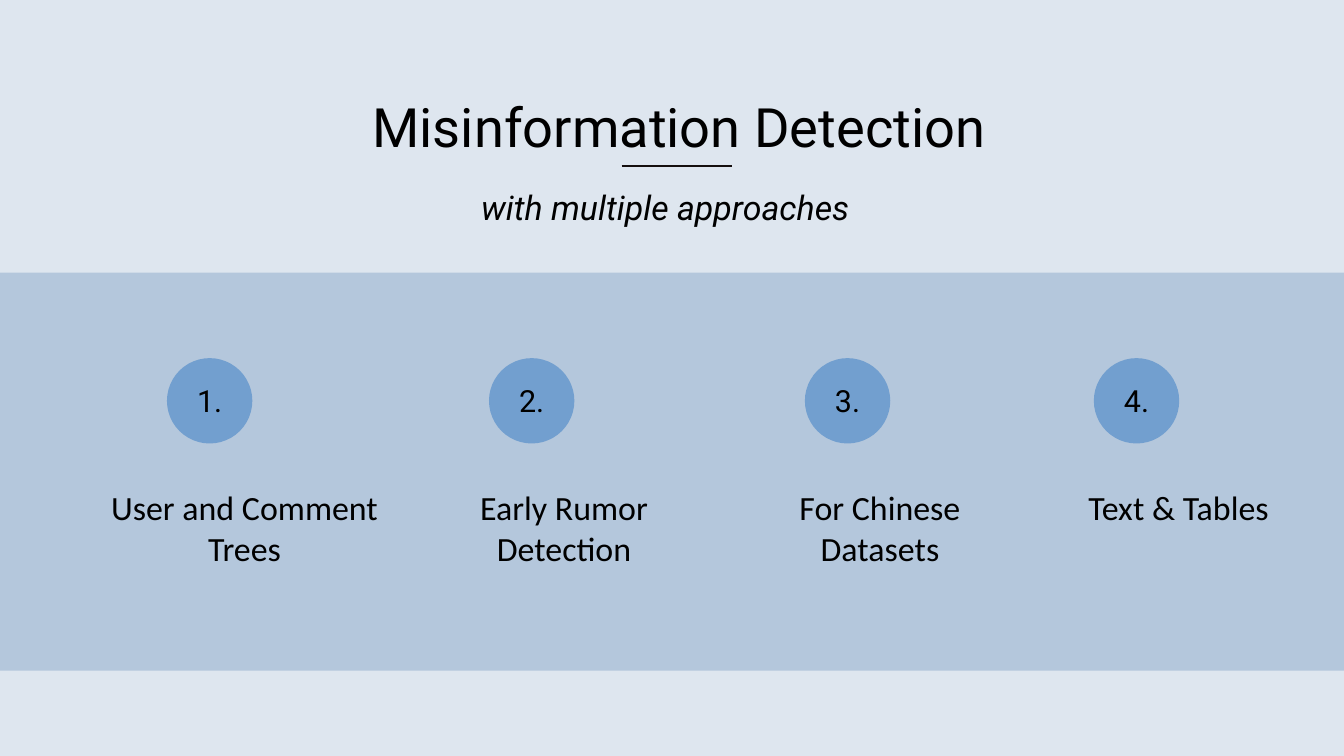
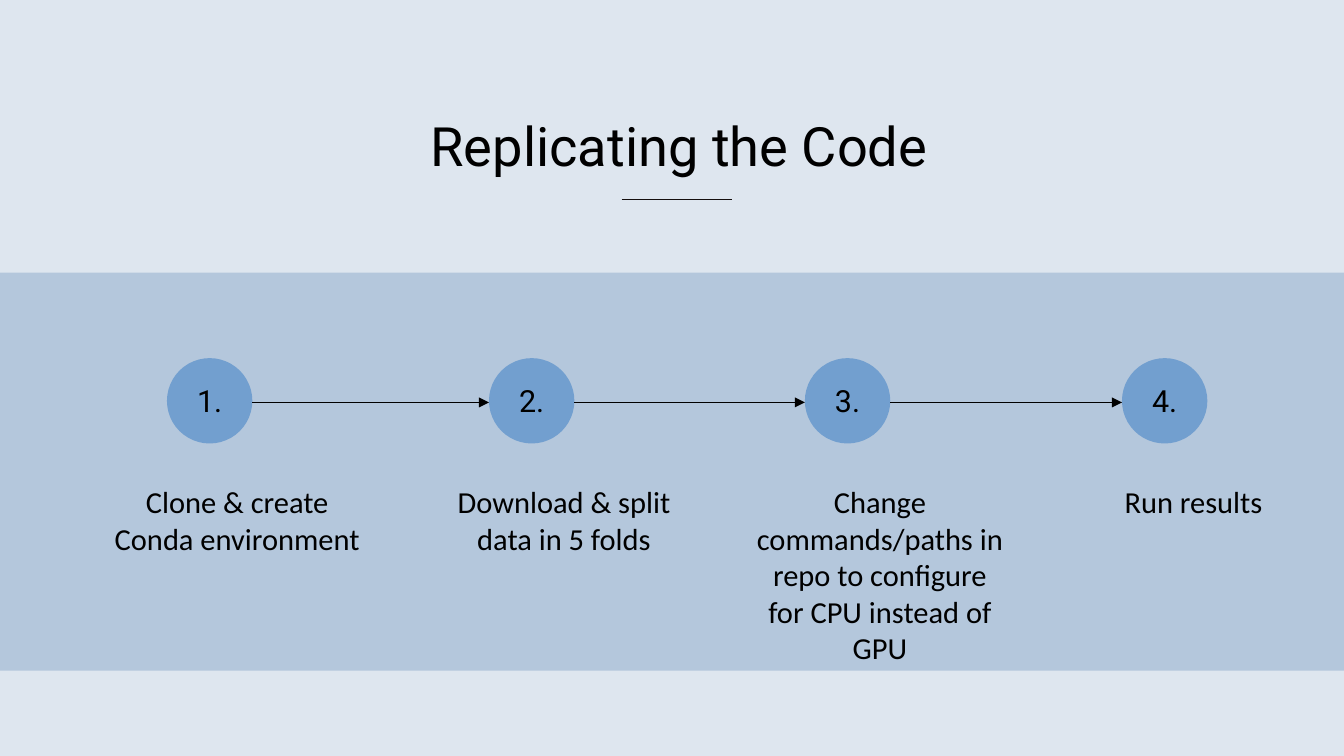
from lxml import etree
from pptx import Presentation
from pptx.dml.color import RGBColor
from pptx.enum import shapes, text
from pptx.oxml import ns
from pptx.util import Pt

# Shared look, lengths in points
WIDTH, HEIGHT = 793.44, 446.4
BACKGROUND, BAND, CIRCLE = "DEE6EF", "B4C7DC", "729FCF"
INK, RULE = "000000", "140E0E"
HEAD_FONT, LABEL_FONT = "Roboto", "Calibri"
CIRCLE_TOP, DIAMETER = 211.5, 50.4
ARROW_Y = 237.6
COMPARISON_LAYOUT = 4


def color(value):
    return RGBColor.from_string(value)


def place(shape, left, top, width, height):
    shape.left, shape.top = Pt(left), Pt(top)
    shape.width, shape.height = Pt(width), Pt(height)


def write(shape, words, size, font, anchor=text.MSO_ANCHOR.TOP, italic=False):
    """Put one centred, unbulleted paragraph into a shape without insets."""
    tf = shape.text_frame
    tf.text = words
    tf.word_wrap = True
    tf.auto_size = text.MSO_AUTO_SIZE.NONE
    tf.vertical_anchor = anchor
    tf.margin_left = tf.margin_right = tf.margin_top = tf.margin_bottom = 0
    p = tf.paragraphs[0]
    p.alignment = text.PP_ALIGN.CENTER
    p.space_before = Pt(0)
    pPr = p._p.get_or_add_pPr()
    pPr.set("marL", "0")
    pPr.set("indent", "0")
    etree.SubElement(pPr, ns.qn("a:buNone"))
    r = p.runs[0]
    r.font.name, r.font.size = font, Pt(size)
    r.font.bold, r.font.italic = False, italic
    r.font.color.rgb = color(INK)


def add_filled(s, kind, left, top, width, height, fill):
    shape = s.shapes.add_shape(kind, Pt(left), Pt(top), Pt(width), Pt(height))
    shape.shadow.inherit = False
    shape.fill.solid()
    shape.fill.fore_color.rgb = color(fill)
    shape.line.fill.background()
    return shape


def add_line(s, x1, x2, y, ink, arrow=False):
    line = s.shapes.add_connector(shapes.MSO_CONNECTOR.STRAIGHT,
                                  Pt(x1), Pt(y), Pt(x2), Pt(y))
    line.line.color.rgb = color(ink)
    line.line.width = Pt(0.25 if arrow else 0.75)
    if arrow:
        tail = etree.SubElement(line.line._get_or_add_ln(), ns.qn("a:tailEnd"))
        tail.set("type", "triangle")
    etree.SubElement(line._element.spPr, ns.qn("a:effectLst"))


def add_base(prs, title, title_top, rule_y):
    """Start a slide with the band, the title and the short rule."""
    s = prs.slides.add_slide(prs.slide_layouts[COMPARISON_LAYOUT])
    s.background.fill.solid()
    s.background.fill.fore_color.rgb = color(BACKGROUND)
    band = add_filled(s, shapes.MSO_SHAPE.RECTANGLE, 0, 161, WIDTH, 235, BAND)
    band.element.getparent().insert(2, band.element)  # behind the placeholders
    place(s.shapes.title, 44, title_top, 714, 57)
    write(s.shapes.title, title, 32, HEAD_FONT, text.MSO_ANCHOR.MIDDLE)
    add_line(s, 367, 432, rule_y, RULE)
    return s


def add_steps(s, steps, label_top, size):
    """Number the circles; each step is (circle x, label x, label width, label)."""
    bodies = [ph for ph in s.placeholders if ph.placeholder_format.idx]
    for number, (body, step) in enumerate(zip(bodies, steps), 1):
        circle_x, label_x, width, label = step
        place(body, label_x, label_top, width, 106)
        write(body, label, size, LABEL_FONT)
        circle = add_filled(s, shapes.MSO_SHAPE.OVAL, circle_x, CIRCLE_TOP,
                            DIAMETER, DIAMETER, CIRCLE)
        write(circle, f"{number}.", 18, HEAD_FONT, text.MSO_ANCHOR.MIDDLE)


def add_arrows(s, steps):
    for start, end in zip(steps, steps[1:]):
        add_line(s, start[0] + DIAMETER, end[0], ARROW_Y, INK, arrow=True)


def main():
    prs = Presentation()
    prs.slide_width, prs.slide_height = Pt(WIDTH), Pt(HEIGHT)

    # Approaches
    s = add_base(prs, "Misinformation Detection", 45.7, 98)
    add_steps(s, [
        (98.6, 49.7, 189.4, "User and Comment Trees"),
        (288.7, 259.2, 147.6, "Early Rumor Detection"),
        (475.2, 446.4, 146.2, "For Chinese Datasets"),
        (645.8, 602.6, 186.5, "Text & Tables"),
    ], 287.6, 20)
    subtitle = s.shapes.add_textbox(Pt(222.5), Pt(110.5), Pt(340.6), Pt(41))
    write(subtitle, "with multiple approaches", 20, HEAD_FONT, italic=True)

    # Steps to replicate
    s = add_base(prs, "Replicating the Code", 56.8, 118)
    steps = [
        (98.6, 64.1, 151.9, "Clone & create Conda environment"),
        (288.7, 259.2, 147.6, "Download & split data in 5 folds"),
        (475.2, 446.4, 146.2,
         "Change commands/paths in repo to configure for CPU instead of GPU"),
        (662.4, 616.6, 176, "Run results"),
    ]
    add_steps(s, steps, 285.2, 18)
    add_arrows(s, steps)

    prs.save("out.pptx")


if __name__ == "__main__":
    main()
